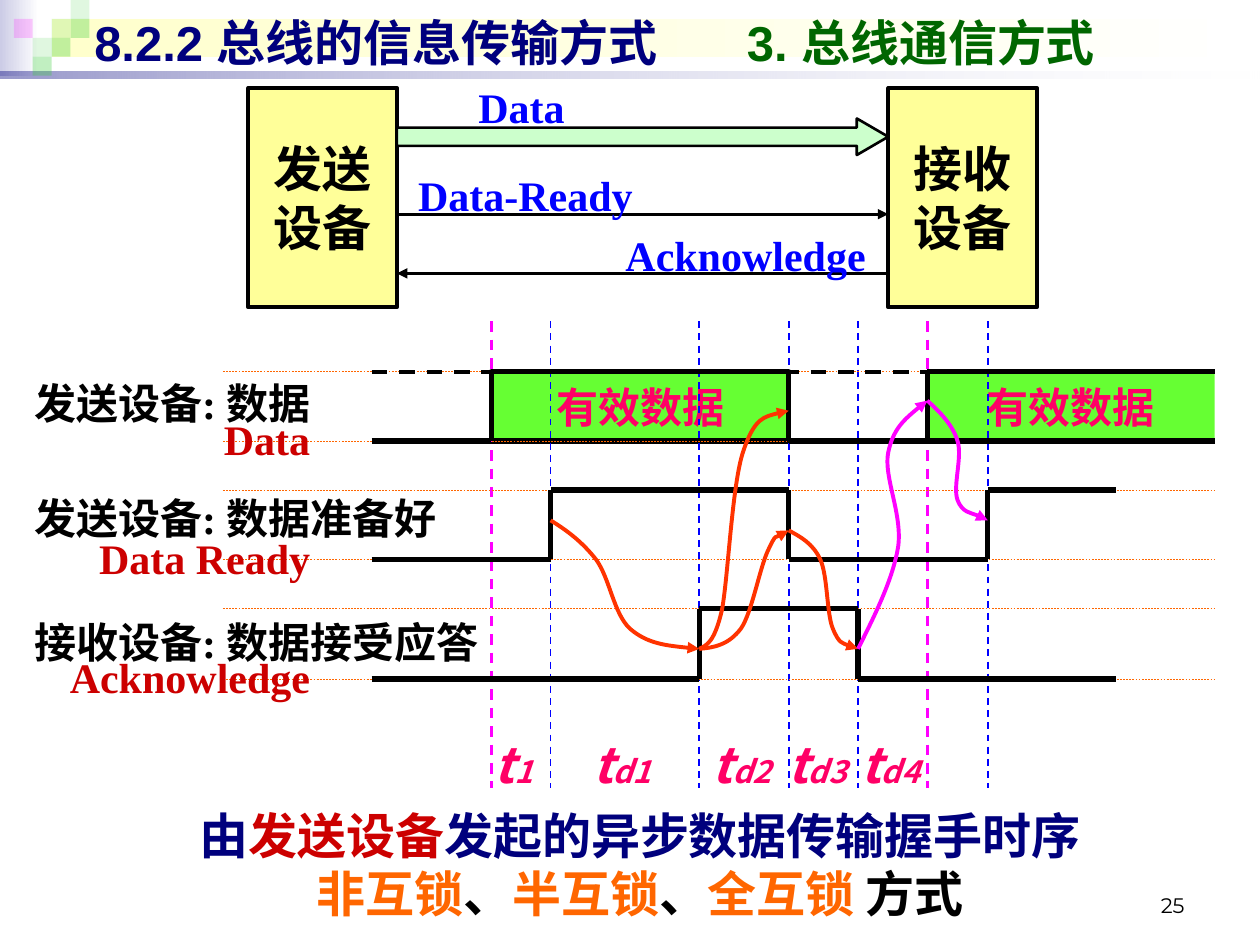
from itertools import pairwise

from lxml import etree
from pptx import Presentation
from pptx.dml.color import RGBColor
from pptx.enum.dml import MSO_LINE
from pptx.enum.shapes import MSO_CONNECTOR, MSO_SHAPE
from pptx.enum.text import MSO_ANCHOR, PP_ALIGN
from pptx.oxml.ns import qn
from pptx.util import Inches, Pt

RECT, BLOCK_ARROW = MSO_SHAPE.RECTANGLE, MSO_SHAPE.RIGHT_ARROW
STRAIGHT, DASH = MSO_CONNECTOR.STRAIGHT, MSO_LINE.DASH
LEFT, CENTER, RIGHT = PP_ALIGN.LEFT, PP_ALIGN.CENTER, PP_ALIGN.RIGHT
TOP, MIDDLE, BOTTOM = MSO_ANCHOR.TOP, MSO_ANCHOR.MIDDLE, MSO_ANCHOR.BOTTOM

BLACK = RGBColor(0x00, 0x00, 0x00)
WHITE = RGBColor(0xFF, 0xFF, 0xFF)
NAVY = RGBColor(0x00, 0x00, 0x7D)
BLUE = RGBColor(0x00, 0x00, 0xFF)
LAVENDER = RGBColor(0xCC, 0xCC, 0xE6)
CREAM = RGBColor(0xFF, 0xFF, 0xCC)
YELLOW = RGBColor(0xFF, 0xFF, 0x99)
GREEN = RGBColor(0x33, 0xCC, 0x33)
DARK_GREEN = RGBColor(0x00, 0x66, 0x00)
PALE_GREEN = RGBColor(0xCC, 0xFF, 0xCC)
LIME = RGBColor(0x66, 0xFF, 0x33)
MAGENTA = RGBColor(0xFF, 0x00, 0xFF)
PINK = RGBColor(0xFF, 0x00, 0x66)
RED = RGBColor(0xCC, 0x00, 0x00)
ORANGE = RGBColor(0xFF, 0x66, 0x00)
VERMILION = RGBColor(0xFF, 0x33, 0x00)
SERIF, SANS, CJK, NUMBER = "Times New Roman", "Arial", "Noto Sans CJK SC", "Montserrat"

TILE = 0.15
TILES = [(0.41, 0.15, GREEN, 15), (0.56, 0, GREEN, 15), (0.56, 0.15, GREEN, 30),
         (0.26, 0.3, GREEN, 15), (0.11, 0.15, MAGENTA, 20),
         (0.41, 0.3, GREEN, 30), (0.26, 0.45, GREEN, 30)]
BANDS = [((0, 0, 0.31, 0.6), LAVENDER, (100, 100)),
         ((0.41, 0.15, 9.55, 0.3), CREAM, (100, 100)),
         ((0, 0.57, 10, 0.05), NAVY, (40, 10))]

TITLE = [("8.2.2 总线的信息传输方式\t", NAVY), ("3. 总线通信方式", DARK_GREEN)]
DEVICES = [(1.97, ["发送", "设备"]), (7.05, ["接收", "设备"])]
SIGNALS = [("Data", 3.69, 0.6, 0.89), ("Data-Ready", 3.2, 1.3, 1.92),
           ("Acknowledge", 4.84, 1.77, 2.13)]
BUS_LEFT, BUS_RIGHT = 3.15, 7.05

START, SEND, READY, ACCEPT, DROP, RELEASE, RESEND, REREADY, END, STOP = (
    2.95, 3.9, 4.37, 5.55, 6.26, 6.81, 7.36, 7.84, 9.64, 8.86)
TIME_TOP, TIME_BOTTOM = 2.55, 6.25
DATA, DATA_READY, ACK = (2.95, 3.5), (3.89, 4.44), (4.83, 5.39)
WAVES = [(DATA, [START, SEND, DROP, RESEND, END]),
         (DATA_READY, [START, READY, DROP, REREADY, STOP]),
         (ACK, [START, ACCEPT, RELEASE, STOP])]
TIMES = [(SEND, MAGENTA, 1.5), (RESEND, MAGENTA, 1.5)] + [
    (x, BLUE, 1) for x in (READY, ACCEPT, DROP, RELEASE, REREADY)]
LABELS = [("发送设备: 数据", 2.95, 2.99, "Data", 3.23, 1.26),
          ("发送设备: 数据准备好", 3.86, 3.62, "Data Ready", 4.18, 2.05),
          ("接收设备: 数据接受应答", 4.84, 4.02, "Acknowledge", 5.12, 2.2)]
LABEL_RIGHT = 2.56
DELAYS = [("1", 3.82), ("d1", 4.6), ("d2", 5.55), ("d3", 6.15), ("d4", 6.73)]
CURVES = [
    (VERMILION, [(4.37, 4.13), (4.5, 4.21), (4.62, 4.3), (4.73, 4.44), (4.84, 4.59),
                 (4.87, 4.87), (5, 4.99), (5.14, 5.11), (5.34, 5.13), (5.55, 5.15)]),
    (VERMILION, [(5.55, 5.15), (5.61, 5.12), (5.67, 5.1), (5.73, 4.84), (5.78, 4.57),
                 (5.81, 3.84), (5.9, 3.58), (5.99, 3.31), (6.12, 3.29), (6.26, 3.26)]),
    (VERMILION, [(5.55, 5.15), (5.67, 5.14), (5.78, 5.12), (5.88, 4.99), (5.97, 4.86),
                 (6.03, 4.5), (6.1, 4.36), (6.16, 4.23), (6.24, 4.23), (6.26, 4.21)]),
    (VERMILION, [(6.26, 4.21), (6.35, 4.26), (6.45, 4.31), (6.51, 4.44), (6.57, 4.57),
                 (6.56, 4.87), (6.61, 4.99), (6.66, 5.11), (6.74, 5.13), (6.81, 5.15)]),
    (MAGENTA, [(7.36, 3.18), (7.46, 3.27), (7.56, 3.37), (7.6, 3.5), (7.64, 3.63),
               (7.56, 3.86), (7.6, 3.97), (7.64, 4.07), (7.81, 4.1), (7.84, 4.13)]),
    (MAGENTA, [(6.81, 5.15), (6.95, 4.87), (7.09, 4.59), (7.13, 4.33), (7.16, 4.07),
               (7.01, 3.78), (7.05, 3.59), (7.09, 3.4), (7.22, 3.29), (7.36, 3.18)])]
SUMMARY = [[("由", NAVY), ("发送设备", RED), ("发起的异步数据传输握手时序", NAVY)],
           [("非互锁", ORANGE), ("、", BLACK), ("半互锁", ORANGE), ("、", BLACK),
            ("全互锁", ORANGE), (" 方式", BLACK)]]

deck = Presentation()
deck.slide_width, deck.slide_height = Inches(10), Inches(7.5)
page = deck.slides.add_slide(deck.slide_layouts[6])


def write(box, lines, size, font, align=LEFT, anchor=TOP, wrap=True, bold=True,
          italic=False, tab=None):
    frame = box.text_frame
    frame.word_wrap, frame.vertical_anchor = wrap, anchor
    for index, spans in enumerate(lines):
        para = frame.add_paragraph() if index else frame.paragraphs[0]
        para.alignment = align
        if tab:
            stops = etree.SubElement(para._p.get_or_add_pPr(), qn("a:tabLst"))
            etree.SubElement(stops, qn("a:tab"), pos=str(Inches(tab)), algn="l")
        para.font.size, para.font.name = Pt(size), font
        para.font.bold, para.font.italic = bold, italic
        for words, color, *small in spans:
            span = para.add_run()
            span.text = words
            span.font.color.rgb = color
            if small:
                span.font.size = Pt(small[0])
    return frame


def add_text(at, lines, size, font, **style):
    return write(page.shapes.add_textbox(*map(Inches, at)), lines, size, font, **style)


def add_block(at, fill=None, line=None, kind=RECT):
    block = page.shapes.add_shape(kind, *map(Inches, at))
    block.shadow.inherit = False
    if fill is not None:
        block.fill.solid()
        block.fill.fore_color.rgb = fill
    if line:
        block.line.color.rgb, block.line.width = BLACK, Pt(line)
    else:
        block.line.fill.background()
    return block


def set_opacity(block, values):
    for color, value in zip(block.element.spPr.iter(qn("a:srgbClr")), values):
        etree.SubElement(color, qn("a:alpha"), val=str(value * 1000))


def add_arrowhead(shape, end):
    etree.SubElement(shape.line._get_or_add_ln(), qn(f"a:{end}"), type="triangle")


def add_line(x1, y1, x2, y2, color, width, dash=None):
    line = page.shapes.add_connector(STRAIGHT, *map(Inches, (x1, y1, x2, y2)))
    line.line.color.rgb, line.line.width = color, Pt(width)
    if dash:
        line.line.dash_style = dash
    etree.SubElement(line.element.spPr, qn("a:effectLst"))
    return line


def add_curve(color, points):
    places = [(Inches(x), Inches(y)) for x, y in points]
    builder = page.shapes.build_freeform(*places[0])
    builder.add_line_segments(places[1:], close=False)
    curve = builder.convert_to_shape()
    segments = list(curve.element.iter(qn("a:lnTo")))
    outline = segments[0].getparent()
    for first in range(0, len(segments), 3):
        bend = etree.SubElement(outline, qn("a:cubicBezTo"))
        for segment in segments[first:first + 3]:
            bend.append(segment[0])
            outline.remove(segment)
    curve.shadow.inherit = False
    curve.fill.background()
    curve.line.color.rgb, curve.line.width = color, Pt(2.25)
    add_arrowhead(curve, "tailEnd")


for at, color, opacity in BANDS:
    band = add_block(at)
    band.fill.gradient()
    band.fill.gradient_angle = 0
    for stop, shade, position in zip(band.fill.gradient_stops, (color, WHITE), (0, 1)):
        stop.color.rgb, stop.position = shade, position
    set_opacity(band, opacity)
for left, top, color, opacity in TILES:
    set_opacity(add_block((left, top, TILE, TILE), color), [opacity])
add_text((0.65, 0.05, 9, 0.57), [TITLE], 28, SANS, anchor=MIDDLE, tab=5.18)
add_text((7.17, 6.83, 2.33, 0.5), [[("25", BLACK)]], 12, NUMBER, align=RIGHT,
         anchor=BOTTOM, bold=False)

high, low = DATA
for left, right, outline in ((RESEND, END, None), (SEND, DROP, 3)):
    valid = add_block((left, high, right - left, low - high), LIME, outline)
    write(valid, [[("有效数据", PINK)]], 24, SANS, align=CENTER, anchor=MIDDLE, wrap=False)
for x, color, width in TIMES:
    add_line(x, TIME_TOP, x, TIME_BOTTOM, color, width, DASH)
for (high, low), edges in WAVES:
    for level in (high, low):
        add_line(1.77, level, END, level, ORANGE, 0.25, DASH)
    corners = []
    for index, (left, right) in enumerate(pairwise(edges)):
        level = high if index % 2 else low
        corners += [(left, level), (right, level)]
    for begin, finish in pairwise(corners):
        add_line(*begin, *finish, BLACK, 3)
high, low = DATA
add_line(RESEND, low, END, low, BLACK, 3)
add_line(START, high, 9.57, high, BLACK, 2.25, DASH)

for chinese, top, width, english, english_top, english_width in LABELS:
    frame = add_text((0.27, top, width, 0.5), [[(chinese, BLACK)]], 24, SERIF)
    frame.margin_left = 0
    add_text((LABEL_RIGHT - english_width, english_top, english_width, 0.5),
             [[(english, RED)]], 24, SERIF, align=RIGHT)
for suffix, left in DELAYS:
    add_text((left, 5.78, 0.79, 0.57), [[("t", PINK), (suffix, PINK, 18)]], 28, CJK,
             italic=True)
for color, points in CURVES:
    add_curve(color, points)
add_text((1.22, 6.34, 7.72, 1.03), SUMMARY, 28, SERIF, align=CENTER)

for left, names in DEVICES:
    write(add_block((left, 0.7, 1.18, 1.74), YELLOW, 2.25),
          [[(name, BLACK)] for name in names], 28, SERIF, align=CENTER, anchor=MIDDLE,
          wrap=False)
bus = add_block((BUS_LEFT, 0.94, BUS_RIGHT - BUS_LEFT, 0.29), PALE_GREEN, 1.5, BLOCK_ARROW)
bus.adjustments[0], bus.adjustments[1] = 0.5, 0.86
for y, end in ((1.7, "tailEnd"), (2.17, "headEnd")):
    add_arrowhead(add_line(BUS_LEFT, y, BUS_RIGHT, y, BLACK, 1.5), end)
for name, left, top, width in SIGNALS:
    add_text((left, top, width, 0.5), [[(name, BLUE)]], 24, SERIF, align=RIGHT, wrap=False)

deck.save("out.pptx")
